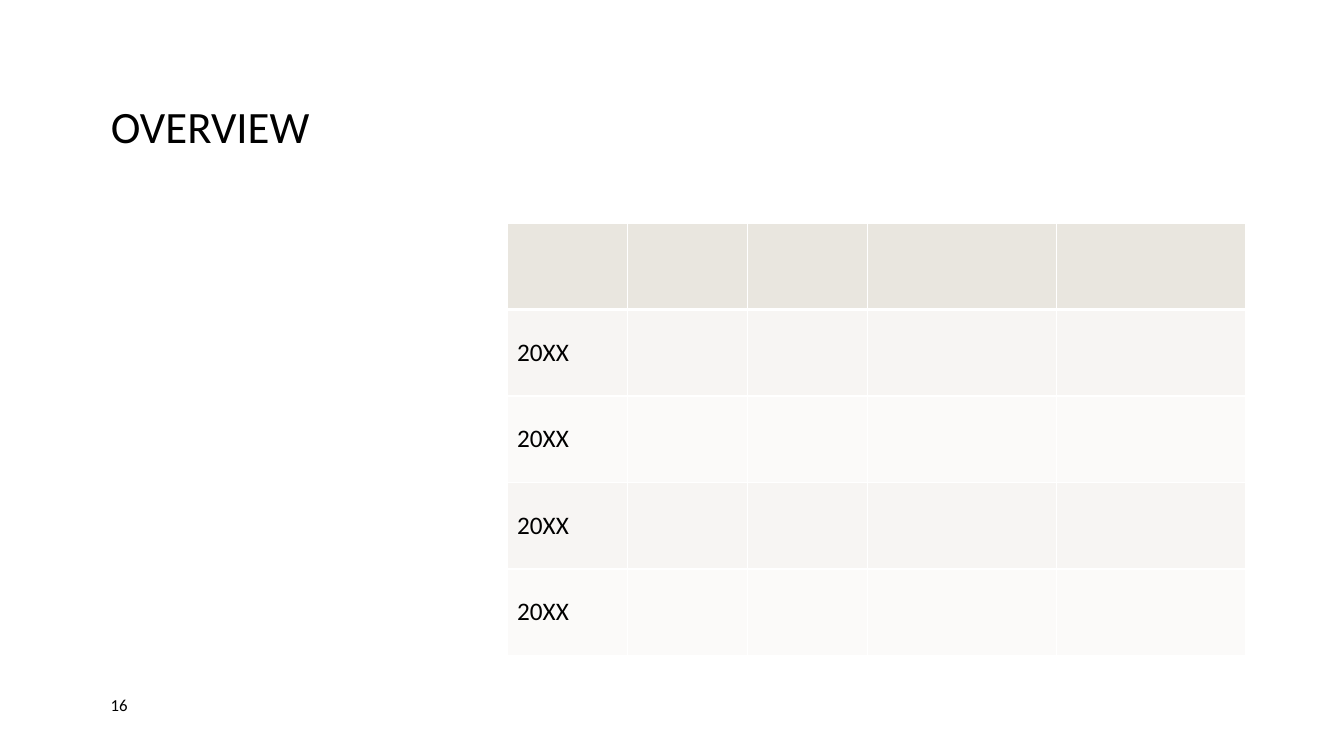
from lxml import etree
from pptx import Presentation
from pptx.dml.color import RGBColor
from pptx.enum import text
from pptx.oxml import ns
from pptx.util import Cm, Pt

COLORS = {"ink": "000000", "border": "FFFFFF", "header": "E9E6DF",
          "odd": "F7F5F3", "even": "FBFAF9"}
FONT = "Calibri"


def set_font(p, size):
    p.font.name = FONT
    p.font.size = Pt(size)
    p.font.color.rgb = RGBColor.from_string(COLORS["ink"])


def add_border(cell, side, width):
    tcPr = cell._tc.get_or_add_tcPr()
    ln = etree.SubElement(tcPr, ns.qn(f"a:ln{side}"), w=str(Pt(width)))
    fill = etree.SubElement(ln, ns.qn("a:solidFill"))
    etree.SubElement(fill, ns.qn("a:srgbClr"), val=COLORS["border"])


prs = Presentation()
prs.slide_width, prs.slide_height = Cm(33.87), Cm(19.05)
s = prs.slides.add_slide(prs.slide_layouts[5])

title = s.shapes.title
title.left, title.top, title.width, title.height = Cm(2.54), Cm(1.02), Cm(28.78), Cm(4.44)
tf = title.text_frame
tf.text = "OVERVIEW"
tf.vertical_anchor = text.MSO_ANCHOR.MIDDLE
p = tf.paragraphs[0]
p.alignment = text.PP_ALIGN.LEFT
p.line_spacing = 0.9
set_font(p, 32)

years = ["", "20XX", "20XX", "20XX", "20XX"]
col_widths = [3.03, 3.03, 3.03, 4.76, 4.76]
table = s.shapes.add_table(len(years), len(col_widths), Cm(12.78), Cm(5.62),
                           Cm(18.54), Cm(10.9)).table
for col, width in zip(table.columns, col_widths):
    col.width = Cm(width)

for i, year in enumerate(years):
    table.rows[i].height = Cm(2.18)
    table.cell(i, 0).text = year
    shade = "header" if i == 0 else "odd" if i % 2 else "even"
    for cell in table.rows[i].cells:
        cell.vertical_anchor = text.MSO_ANCHOR.MIDDLE
        set_font(cell.text_frame.paragraphs[0], 18)
        for side in "LRTB":
            under_header = (i, side) in [(0, "B"), (1, "T")]
            add_border(cell, side, 3 if under_header else 1)
        cell.fill.solid()
        cell.fill.fore_color.rgb = RGBColor.from_string(COLORS[shade])

number = s.shapes.add_textbox(Cm(2.54), Cm(17.35), Cm(1.75), Cm(0.81))
tf = number.text_frame
tf.word_wrap = True
tf.vertical_anchor = text.MSO_ANCHOR.MIDDLE
tf.text = "16"
set_font(tf.paragraphs[0], 12)

prs.save("out.pptx")
